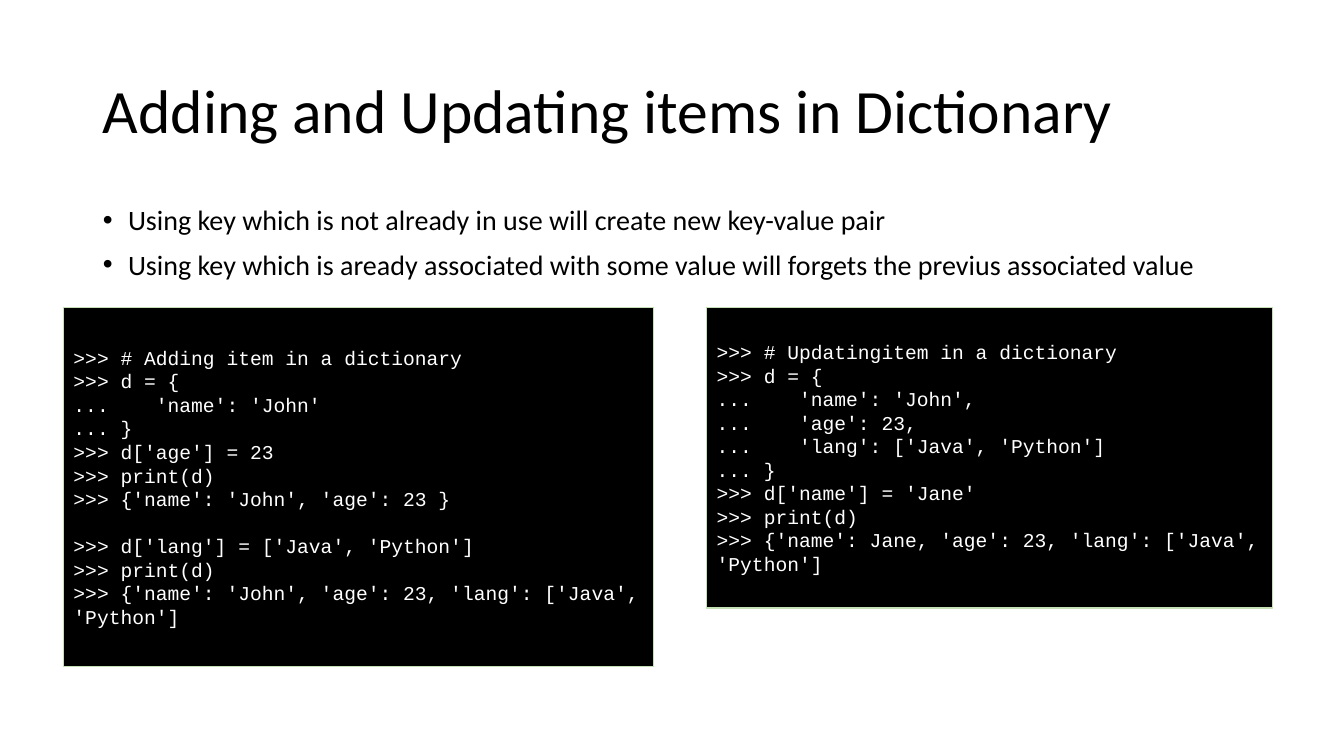
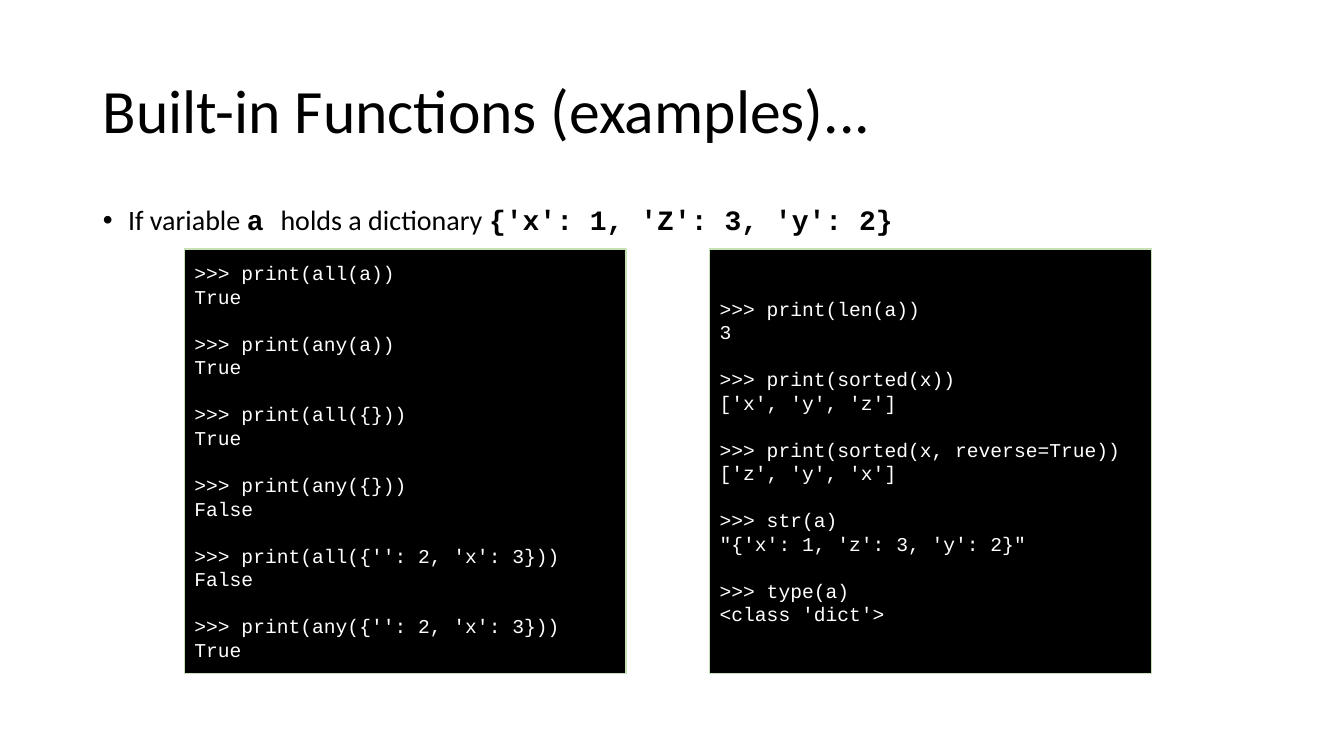
from pptx import Presentation
from pptx.dml.color import RGBColor
from pptx.enum.shapes import MSO_SHAPE
from pptx.enum.text import MSO_ANCHOR, MSO_AUTO_SIZE, PP_ALIGN
from pptx.util import Inches, Pt

RECT = MSO_SHAPE.RECTANGLE
MIDDLE, TOP = MSO_ANCHOR.MIDDLE, MSO_ANCHOR.TOP
LEFT = PP_ALIGN.LEFT
NO_FIT = MSO_AUTO_SIZE.NONE

# Shared style
COLORS = {"text": "000000", "code": "FFFFFF", "panel": "000000", "edge": "C5E0B4"}
SANS, MONO = "Calibri", "Courier New"
CODE_GAP = Pt(16.8)  # one line of code

prs = Presentation()
prs.slide_width, prs.slide_height = Inches(13.33), Inches(7.5)
COL, ROW = prs.slide_width / 100, prs.slide_height / 100

# Grid places: left and width in columns, top and height in rows
TITLE_BOX = (6.9, 5.33, 86.25, 19.33)
BODY_BOX = (6.9, 26.67, 86.25, 63.47)


def place(sp, box, anchor):
    left, top, width, height = box
    sp.left, sp.width = round(left * COL), round(width * COL)
    sp.top, sp.height = round(top * ROW), round(height * ROW)
    tf = sp.text_frame
    tf.word_wrap = True
    tf.auto_size = NO_FIT
    tf.vertical_anchor = anchor
    return tf


def style(p, font, size, color):
    p.alignment = LEFT
    p.font.name = font
    p.font.size = Pt(size)
    p.font.color.rgb = RGBColor.from_string(COLORS[color])


# Content: bullets are lists of (text, is_code); a blank line in code is a gap
SLIDES = [
    {
        "title": "Adding and Updating items in Dictionary",
        "bullets": [
            [("Using key which is not already in use will create new key-value pair", False)],
            [("Using key which is aready associated with some value will forgets "
              "the previus associated value", False)],
        ],
        "panels": [
            ((4.73, 40.67, 43.88, 47.47), """\
>>> # Adding item in a dictionary
>>> d = {
...    'name': 'John'
... }
>>> d['age'] = 23
>>> print(d)
>>> {'name': 'John', 'age': 23 }

>>> d['lang'] = ['Java', 'Python']
>>> print(d)
>>> {'name': 'John', 'age': 23, 'lang': ['Java', 'Python']"""),
            ((52.59, 40.67, 42.08, 39.73), """\
>>> # Updatingitem in a dictionary
>>> d = {
...    'name': 'John',
...    'age': 23,
...    'lang': ['Java', 'Python']
... }
>>> d['name'] = 'Jane'
>>> print(d)
>>> {'name': Jane, 'age': 23, 'lang': ['Java', 'Python']"""),
        ],
    },
    {
        "title": "Built-in Functions (examples)...",
        "bullets": [
            [("If variable ", False), ("a ", True), ("holds a dictionary ", False),
             ("{'x': 1, 'Z': 3, 'y': 2}", True)],
        ],
        "panels": [
            ((13.73, 32.93, 32.86, 56.13), """\
>>> print(all(a))
True

>>> print(any(a))
True

>>> print(all({}))
True

>>> print(any({}))
False

>>> print(all({'': 2, 'x': 3}))
False

>>> print(any({'': 2, 'x': 3}))
True"""),
            ((52.81, 32.93, 32.86, 56.13), """\
>>> print(len(a))
3

>>> print(sorted(x))
['x', 'y', 'z']

>>> print(sorted(x, reverse=True))
['z', 'y', 'x']

>>> str(a)
"{'x': 1, 'z': 3, 'y': 2}"

>>> type(a)
<class 'dict'>"""),
        ],
    },
]

for content in SLIDES:
    s = prs.slides.add_slide(prs.slide_layouts[1])

    # Title
    tf = place(s.shapes.title, TITLE_BOX, MIDDLE)
    tf.text = content["title"]
    p = tf.paragraphs[0]
    style(p, SANS, 44, "text")
    p.line_spacing = 0.9

    # Bullets
    tf = place(s.placeholders[1], BODY_BOX, TOP)
    for i, runs in enumerate(content["bullets"]):
        p = tf.add_paragraph() if i else tf.paragraphs[0]
        style(p, SANS, 20, "text")
        p.line_spacing, p.space_before = 0.9, Pt(10)
        pPr = p._p.get_or_add_pPr()
        pPr.set("marL", str(Inches(0.25)))
        pPr.set("indent", str(-Inches(0.25)))
        for text, is_code in runs:
            r = p.add_run()
            r.text = text
            if is_code:
                r.font.name, r.font.bold = MONO, True

    # Code panels
    for box, code in content["panels"]:
        sp = s.shapes.add_shape(RECT, 0, 0, 0, 0)
        tf = place(sp, box, MIDDLE)
        sp.shadow.inherit = False
        sp.fill.solid()
        sp.fill.fore_color.rgb = RGBColor.from_string(COLORS["panel"])
        sp.line.color.rgb = RGBColor.from_string(COLORS["edge"])
        sp.line.width = Pt(1)
        for i, block in enumerate(code.split("\n\n")):
            for j, line in enumerate(block.split("\n")):
                p = tf.add_paragraph() if i or j else tf.paragraphs[0]
                p.text = line
                style(p, MONO, 14, "code")
                if i and not j:
                    p.space_before = CODE_GAP

prs.save("out.pptx")
